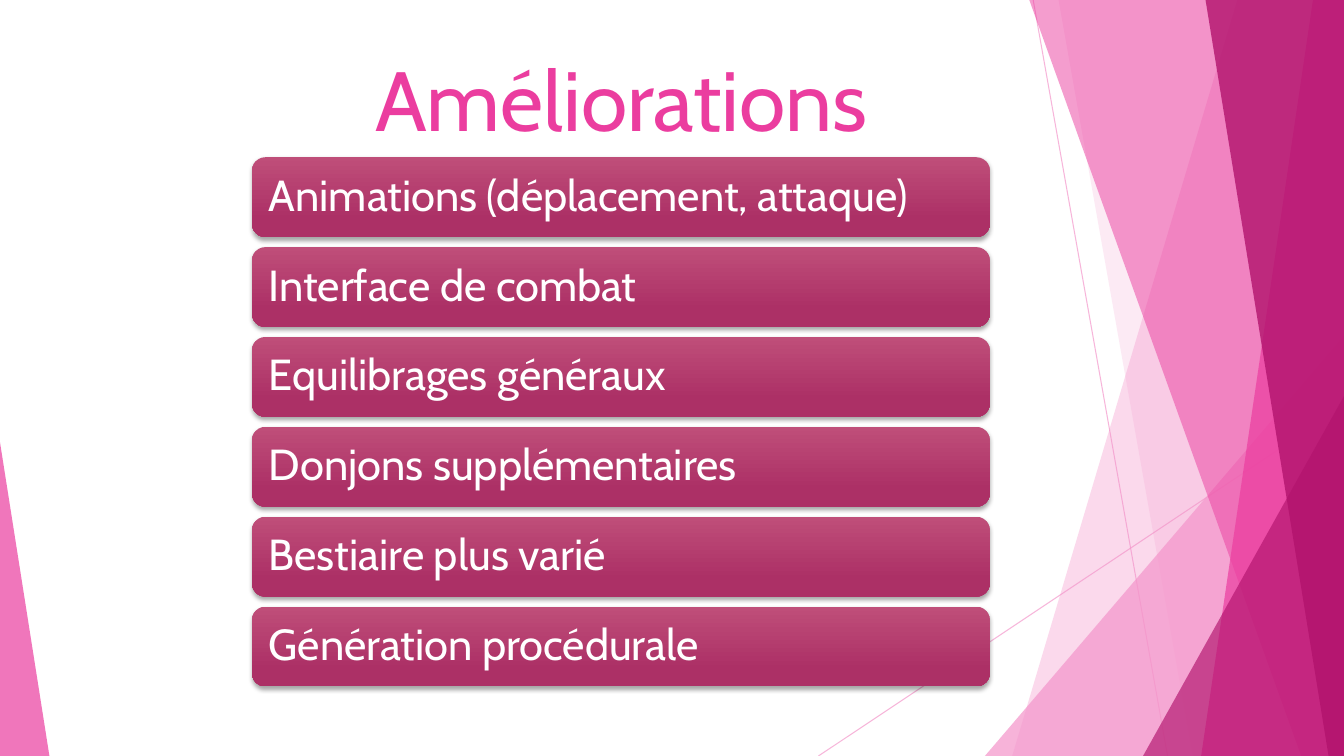
import pptx
import pptx.util
import pptx.dml.color
import pptx.enum.shapes
import pptx.enum.text
import pptx.oxml.ns
import lxml.etree

Pt = pptx.util.Pt
qn = pptx.oxml.ns.qn
SHAPES = pptx.enum.shapes.MSO_SHAPE
COLOURS = {
    "light": "F496CB",
    "pink": "EB3D9F",
    "deep": "B2136D",
    "bar_top": "BF4E79",
    "bar_bottom": "AC3066",
    "white": "FFFFFF",
    "shadow": "000000",
}
WIDTH, HEIGHT = 960, 540


def paint(fill, colour, opacity):
    fill.solid()
    fill.fore_color.rgb = pptx.dml.color.RGBColor.from_string(COLOURS[colour])
    colour_element = next(fill._xPr.iter(qn("a:srgbClr")))
    lxml.etree.SubElement(colour_element, qn("a:alpha"), val=str(opacity * 1000))


def write(text_frame, text, size, colour, alignment, anchor):
    text_frame.word_wrap = True
    text_frame.vertical_anchor = anchor
    text_frame.text = text
    paragraph = text_frame.paragraphs[0]
    paragraph.alignment = alignment
    font = paragraph.runs[0].font
    font.name = "Cabin"
    font.size = Pt(size)
    font.color.rgb = pptx.dml.color.RGBColor.from_string(COLOURS[colour])
    return paragraph


presentation = pptx.Presentation()
presentation.slide_width = Pt(WIDTH)
presentation.slide_height = Pt(HEIGHT)
slide = presentation.slides.add_slide(presentation.slide_layouts[6])

for start_x, start_y, end_x, end_y in [(738, 0, 834, HEIGHT), (WIDTH, 290, 584.6, HEIGHT)]:
    connector = slide.shapes.add_connector(
        pptx.enum.shapes.MSO_CONNECTOR.STRAIGHT,
        Pt(start_x), Pt(start_y), Pt(end_x), Pt(end_y))
    connector.line.width = Pt(0.75)
    paint(connector.line.fill, "light", 70)
    lxml.etree.SubElement(connector._element.spPr, qn("a:effectLst"))

facets = [
    ("band", (884, 723), "light", 36),
    ("band", (756, 852), "light", 20),
    ("triangle", (703.5, 240, 256.5, 300, 1), "light", 72),
    ("band", (735, 929.5), "pink", 50),
    ("band", (938, 858), "pink", 70),
    ("band", (861, 949), "deep", 80),
    ("triangle", (816.5, 283, 143.5, 257, 1), "deep", 66),
    ("triangle", (0, 316, 35.3, 224, 0), "pink", 70),
]
for kind, geometry, colour, opacity in facets:
    if kind == "band":
        top_x, bottom_x = geometry
        builder = slide.shapes.build_freeform(Pt(top_x), Pt(-0.7))
        builder.add_line_segments([
            (Pt(WIDTH), Pt(-0.7)), (Pt(WIDTH), Pt(HEIGHT)), (Pt(bottom_x), Pt(HEIGHT))])
        shape = builder.convert_to_shape()
    else:
        left, top, width, height, apex = geometry
        shape = slide.shapes.add_shape(
            SHAPES.ISOSCELES_TRIANGLE, Pt(left), Pt(top), Pt(width), Pt(height))
        shape.adjustments[0] = apex
    paint(shape.fill, colour, opacity)
    shape.line.fill.background()
    shape.shadow.inherit = False

title = slide.shapes.add_textbox(Pt(123), Pt(23), Pt(641.5), Pt(86.4))
write(title.text_frame, "Améliorations", 60, "pink",
      pptx.enum.text.PP_ALIGN.CENTER, pptx.enum.text.MSO_ANCHOR.BOTTOM)

improvements = [
    "Animations (déplacement, attaque)",
    "Interface de combat",
    "Equilibrages généraux",
    "Donjons supplémentaires",
    "Bestiaire plus varié",
    "Génération procédurale",
]
for row, improvement in enumerate(improvements):
    bar = slide.shapes.add_shape(
        SHAPES.ROUNDED_RECTANGLE, Pt(180), Pt(112.3 + row * 64.2), Pt(527), Pt(57))
    bar.line.fill.background()
    bar.fill.gradient()
    bar.fill.gradient_angle = 270
    for stop, position, colour in zip(
            bar.fill.gradient_stops, (0, 0.78), ("bar_top", "bar_bottom")):
        stop.position = position
        stop.color.rgb = pptx.dml.color.RGBColor.from_string(COLOURS[colour])

    bar.shadow.inherit = False
    effects = bar._element.spPr.find(qn("a:effectLst"))
    shadow = lxml.etree.SubElement(
        effects, qn("a:outerShdw"), blurRad=str(Pt(3)), dist=str(Pt(2)),
        dir="5400000", rotWithShape="0")
    shadow_colour = lxml.etree.SubElement(shadow, qn("a:srgbClr"), val=COLOURS["shadow"])
    lxml.etree.SubElement(shadow_colour, qn("a:alpha"), val="35000")

    text_frame = bar.text_frame
    text_frame.margin_left = text_frame.margin_right = Pt(9.3)
    text_frame.margin_top = text_frame.margin_bottom = Pt(9.3)
    paragraph = write(text_frame, improvement, 31, "white",
                      pptx.enum.text.PP_ALIGN.LEFT, pptx.enum.text.MSO_ANCHOR.MIDDLE)
    paragraph.line_spacing = 0.9

presentation.save("out.pptx")
